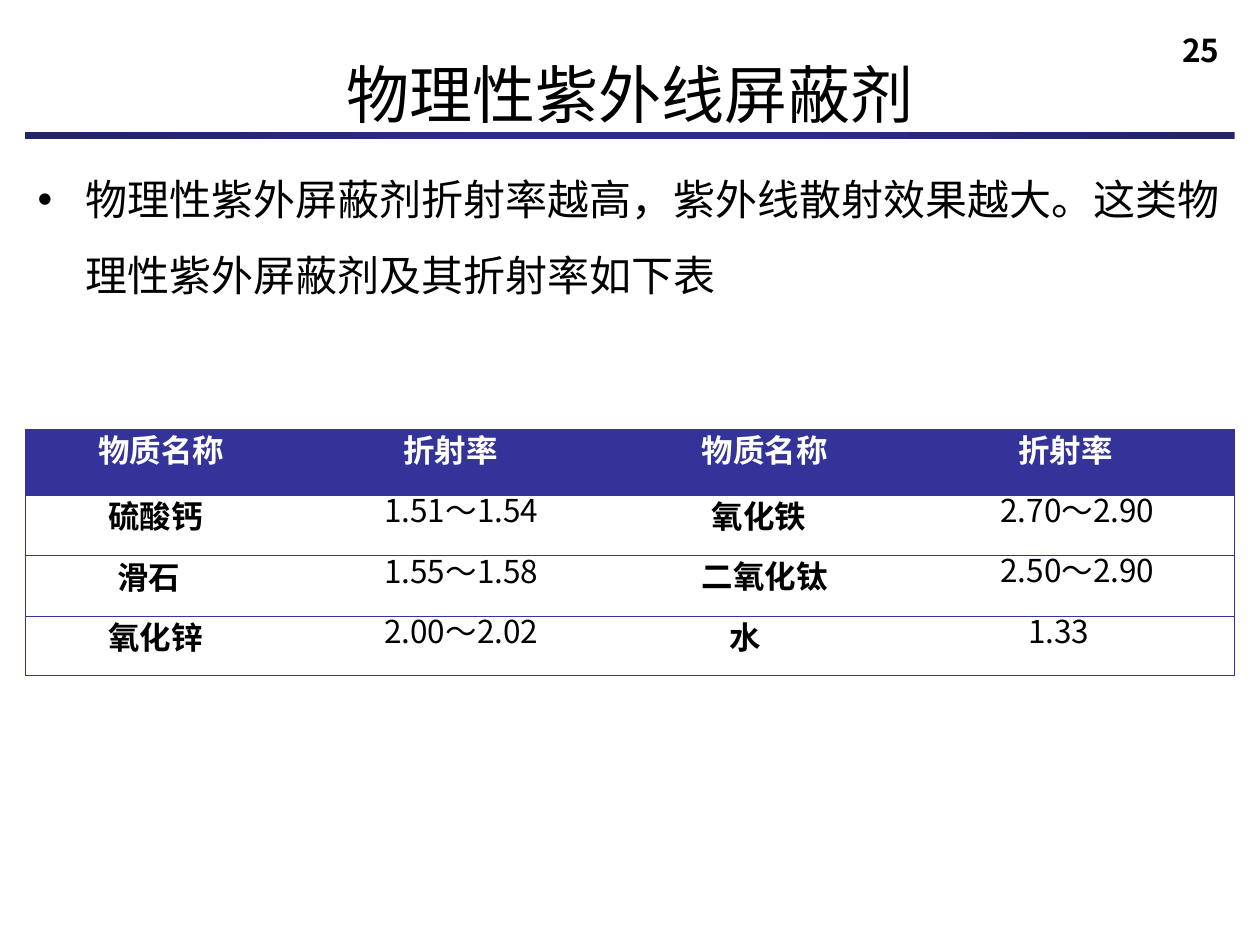
from typing import NamedTuple

from lxml import etree
from pptx import Presentation
from pptx import util as u
from pptx.dml.color import RGBColor
from pptx.enum import shapes, text
from pptx.oxml import ns

BLACK = RGBColor(0x00, 0x00, 0x00)
WHITE = RGBColor(0xFF, 0xFF, 0xFF)
INDIGO = RGBColor(0x33, 0x33, 0x99)
RULE_STOPS = [
    (0, RGBColor(0x2D, 0x2D, 0x88)),
    (23, RGBColor(0x2D, 0x2D, 0x88)),
    (69, RGBColor(0x26, 0x26, 0x73)),
    (97, RGBColor(0x24, 0x24, 0x6B)),
]
SC_FONT = "Noto Sans CJK SC"
TC_FONT = "Noto Sans CJK TC"


class Entry(NamedTuple):
    wording: str
    indent: float
    spacing: float = 0.91
    bold: bool = True


def figure(wording: str, indent: float = 0.57, spacing: float = 0.76) -> Entry:
    return Entry(wording, indent, spacing, False)


COLUMN_WIDTHS = [2.28, 2.45, 2.44, 2.43]
ROW_HEIGHTS = [0.52, 0.48, 0.48, 0.47]
REFRACTION = [
    [Entry("物质名称", 0.58), Entry("折射率", 0.72), Entry("物质名称", 0.64), Entry("折射率", 0.71)],
    [Entry("硫酸钙", 0.66, 0.92), figure("1.51～1.54"), Entry("氧化铁", 0.72), figure("2.70～2.90", spacing=0.75)],
    [Entry("滑石", 0.73, 0.92), figure("1.55～1.58"), Entry("二氧化钛", 0.64), figure("2.50～2.90", spacing=0.73)],
    [Entry("氧化锌", 0.66), figure("2.00～2.02"), Entry("水", 0.86), figure("1.33", 0.79)],
]


def add_child(parent, tag: str, **attributes: str):
    child = etree.SubElement(parent, ns.qn(tag))
    for key, value in attributes.items():
        child.set(key, value)
    return child


def add_run(paragraph, wording: str, size: float, latin: str, east_asian: str,
            color: RGBColor = BLACK, bold: bool = False) -> None:
    run = paragraph.add_run()
    run.text = wording
    run.font.size = u.Pt(size)
    run.font.bold = bold
    run.font.color.rgb = color
    run.font.name = latin
    add_child(run.font._element, "a:ea", typeface=east_asian)


def add_text_frame(slide, left: float, top: float, width: float, height: float):
    box = slide.shapes.add_textbox(*map(u.Inches, (left, top, width, height)))
    box.text_frame.word_wrap = True
    return box.text_frame


def add_title(slide) -> None:
    title = slide.shapes.title
    title.left, title.top = u.Inches(0), u.Inches(0.39)
    title.width, title.height = u.Inches(10), u.Inches(0.71)
    frame = title.text_frame
    frame.vertical_anchor = text.MSO_ANCHOR.TOP
    frame.auto_size = text.MSO_AUTO_SIZE.NONE
    paragraph = frame.paragraphs[0]
    paragraph.alignment = text.PP_ALIGN.CENTER
    add_run(paragraph, "物理性紫外线屏蔽剂", 36, TC_FONT, TC_FONT)


def add_title_rule(slide) -> None:
    rule = slide.shapes.add_shape(
        shapes.MSO_SHAPE.RECTANGLE, *map(u.Inches, (0.2, 1.05, 9.6, 0.05)))
    rule.shadow.inherit = False
    rule.line.fill.background()
    rule.fill.gradient()
    gradient = rule.fill._xPr.find(ns.qn("a:gradFill"))
    for child in list(gradient):
        gradient.remove(child)
    stops = add_child(gradient, "a:gsLst")
    for position, color in RULE_STOPS:
        stop = add_child(stops, "a:gs", pos=str(position * 1000))
        add_child(stop, "a:srgbClr", val=str(color))
    circle = add_child(gradient, "a:path", path="circle")
    add_child(circle, "a:fillToRect", l="50000", t="50000", r="50000", b="50000")


def add_page_number(slide) -> None:
    paragraph = add_text_frame(slide, 9.07, 0.2, 0.92, 0.47).paragraphs[0]
    paragraph.alignment = text.PP_ALIGN.CENTER
    add_run(paragraph, "25", 18, SC_FONT, SC_FONT, bold=True)


def add_statement(slide) -> None:
    paragraph = add_text_frame(slide, 0.2, 1.13, 9.6, 1.23).paragraphs[0]
    properties = paragraph._p.get_or_add_pPr()
    properties.set("marL", str(u.Inches(0.38)))
    properties.set("indent", str(u.Inches(-0.38)))
    add_child(properties, "a:buFont", typeface="Arial")
    add_child(properties, "a:buChar", char="•")
    paragraph.line_spacing = 1.5
    add_run(paragraph, "物理性紫外屏蔽剂折射率越高，紫外线散射效果越大。"
            "这类物理性紫外屏蔽剂及其折射率如下表", 24, "Arial", SC_FONT)


def set_borders(cell, visible: dict[str, bool]) -> None:
    properties = cell._tc.get_or_add_tcPr()
    for side, shown in visible.items():
        line = add_child(properties, f"a:ln{side}", w=str(u.Pt(0.5)))
        if shown:
            fill = add_child(line, "a:solidFill")
            add_child(fill, "a:srgbClr", val=str(INDIGO))
        else:
            add_child(line, "a:noFill")


def fill_cell(cell, entry: Entry, is_header: bool) -> None:
    cell.margin_left = cell.margin_right = cell.margin_top = cell.margin_bottom = 0
    cell.fill.solid()
    cell.fill.fore_color.rgb = INDIGO if is_header else WHITE
    paragraph = cell.text_frame.paragraphs[0]
    paragraph._p.get_or_add_pPr().set("marL", str(u.Inches(entry.indent)))
    paragraph.line_spacing = entry.spacing
    add_run(paragraph, entry.wording, 18, SC_FONT, SC_FONT,
            WHITE if is_header else BLACK, entry.bold)


def add_refraction_table(slide) -> None:
    table = slide.shapes.add_table(
        len(ROW_HEIGHTS), len(COLUMN_WIDTHS), u.Inches(0.2), u.Inches(3.41),
        u.Inches(sum(COLUMN_WIDTHS)), u.Inches(sum(ROW_HEIGHTS))).table
    table.first_row = table.horz_banding = False
    for column, width in zip(table.columns, COLUMN_WIDTHS):
        column.width = u.Inches(width)
    for row, height in zip(table.rows, ROW_HEIGHTS):
        row.height = u.Inches(height)
    last_column = len(COLUMN_WIDTHS) - 1
    for row_index, entries in enumerate(REFRACTION):
        for column_index, entry in enumerate(entries):
            cell = table.cell(row_index, column_index)
            set_borders(cell, {"L": column_index == 0, "R": column_index == last_column,
                               "T": True, "B": True})
            fill_cell(cell, entry, row_index == 0)


def main() -> None:
    deck = Presentation()
    deck.slide_width, deck.slide_height = u.Inches(10), u.Inches(7.5)
    slide = deck.slides.add_slide(deck.slide_layouts[5])
    add_page_number(slide)
    add_title_rule(slide)
    add_title(slide)
    add_statement(slide)
    add_refraction_table(slide)
    deck.save("out.pptx")


if __name__ == "__main__":
    main()
